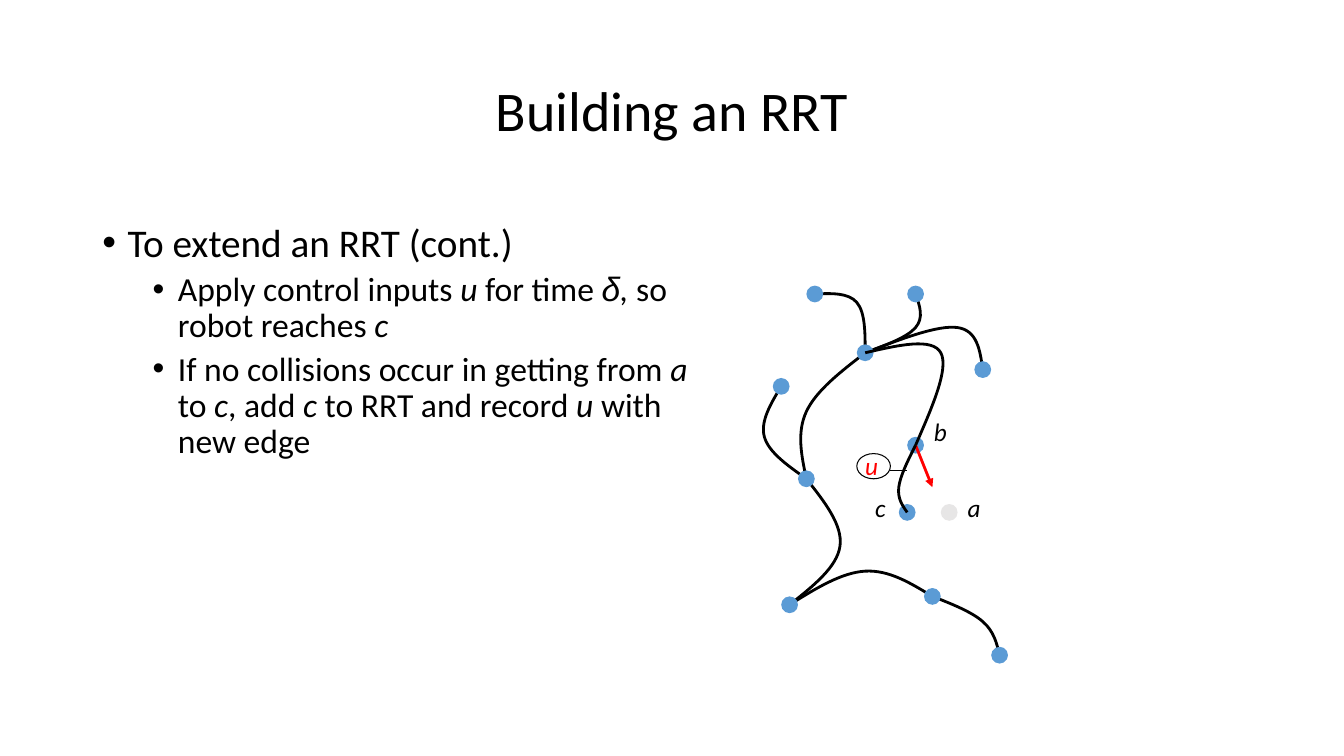
from dataclasses import dataclass

from lxml.etree import SubElement
from pptx import Presentation
from pptx.dml.color import RGBColor
from pptx.enum.shapes import MSO_CONNECTOR as Connector, MSO_SHAPE as Shape
from pptx.enum.text import MSO_ANCHOR as Anchor, PP_ALIGN as Align
from pptx.oxml.ns import qn
from pptx.util import Inches, Pt

BLACK = RGBColor(0x00, 0x00, 0x00)
RED = RGBColor(0xFF, 0x00, 0x00)
BLUE = RGBColor(0x5B, 0x9B, 0xD5)
GREY = RGBColor(0xE7, 0xE6, 0xE6)
FONT = "Calibri"
SYMBOL_FONT = "Arial"

# The grid has twelve cells to the inch
CELLS_PER_INCH = 12
Point = tuple[float, float]


@dataclass
class Node:
    centre: Point
    colour: RGBColor = BLUE


@dataclass
class Edge:
    start: Point
    middle: Point
    end: Point


@dataclass
class Label:
    text: str
    corner: Point
    colour: RGBColor = BLACK


@dataclass
class Bullet:
    text: str  # asterisks enclose italics
    size: int
    indent: float
    space_before: int


ROOT, B, C = (103, 42), (109, 53), (108, 61)
TOP_LEFT, TOP_RIGHT, RIGHT = (97, 35), (109, 35), (117, 44)
LEFT, FORK, LOW_FORK = (93, 46), (96, 57), (94, 72)
LOW_RIGHT, LAST = (111, 71), (119, 78)

TREE_EDGES = [
    Edge(TOP_LEFT, (102, 36), ROOT),
    Edge(TOP_RIGHT, (109, 39), ROOT),
    Edge(ROOT, (96, 49), FORK),
    Edge(LEFT, (91, 52), FORK),
    Edge(ROOT, (114, 39), RIGHT),
    Edge(FORK, (100, 65), LOW_FORK),
    Edge(LOW_FORK, (103, 68), LOW_RIGHT),
    Edge(LOW_RIGHT, (117, 74), LAST),
]
NEW_EDGES = [Edge(ROOT, (112, 42), B), Edge(B, (107, 58), C)]
NODES = [Node(centre) for centre in (
    ROOT, B, TOP_RIGHT, FORK, RIGHT, TOP_LEFT, LEFT, LOW_RIGHT, LOW_FORK, LAST, C)]
NODES.append(Node((113, 61), GREY))
LABELS = [
    Label("a", (114, 58)),
    Label("b", (110, 49)),
    Label("u", (101.8, 53), RED),
    Label("c", (103, 58)),
]
BULLETS = [
    Bullet("To extend an RRT (cont.)", 28, 0.25, 10),
    Bullet("Apply control inputs *u* for time *δ**, *so robot reaches *c*", 24, 0.75, 5),
    Bullet("If no collisions occur in getting from *a* to *c*, add *c* to RRT "
           "and record *u *with new edge", 24, 0.75, 5),
]


def cells(*counts: float) -> list[int]:
    return [Inches(count / CELLS_PER_INCH) for count in counts]


def set_font(font, size: int, colour: RGBColor = BLACK) -> None:
    font.name = FONT
    font.size = Pt(size)
    font.color.rgb = colour


def add_text_box(slide, left: float, top: float, width: float, height: float,
                 wrap: bool = True):
    frame = slide.shapes.add_textbox(*cells(left, top, width, height)).text_frame
    frame.word_wrap = wrap
    return frame


def add_bullet(paragraph, bullet: Bullet) -> None:
    properties = paragraph._p.get_or_add_pPr()
    properties.set("marL", str(Inches(bullet.indent)))
    properties.set("indent", str(-Inches(0.25)))
    SubElement(properties, qn("a:buFont")).set("typeface", SYMBOL_FONT)
    SubElement(properties, qn("a:buChar")).set("char", "•")
    paragraph.line_spacing = 0.9
    paragraph.space_before = Pt(bullet.space_before)
    set_font(paragraph.font, bullet.size)
    for position, text in enumerate(bullet.text.split("*")):
        if text:
            run = paragraph.add_run()
            run.text = text
            run.font.italic = position % 2 == 1
            if text == "δ":
                run.font.name = SYMBOL_FONT


def add_edge(slide, edge: Edge) -> None:
    """Draw a smooth curve of two Bézier pieces that meet in the middle point."""
    def between(first: Point, second: Point) -> Point:
        return (first[0] + second[0]) / 2, (first[1] + second[1]) / 2

    (x, y), start, end = edge.middle, edge.start, edge.end
    slope_x, slope_y = (end[0] - start[0]) / 6, (end[1] - start[1]) / 6
    before, after = (x - slope_x, y - slope_y), (x + slope_x, y + slope_y)
    points = [between(start, before), before, edge.middle, after, between(after, end), end]

    builder = slide.shapes.build_freeform(*cells(*start))
    builder.add_line_segments([tuple(cells(*point)) for point in points], close=False)
    shape = builder.convert_to_shape()
    shape.shadow.inherit = False
    shape.fill.background()
    shape.line.color.rgb = BLACK
    shape.line.width = Pt(2)

    # Join each three line ends into one cubic curve
    outline = shape._element.find(".//" + qn("a:path"))
    segments = outline.findall(qn("a:lnTo"))
    for first in (0, 3):
        curve = SubElement(outline, qn("a:cubicBezTo"))
        for segment in segments[first:first + 3]:
            curve.append(segment[0])
            outline.remove(segment)


def add_ellipse(slide, left: float, top: float, width: float, height: float):
    shape = slide.shapes.add_shape(Shape.OVAL, *cells(left, top, width, height))
    shape.shadow.inherit = False
    return shape


def add_node(slide, node: Node) -> None:
    x, y = node.centre
    dot = add_ellipse(slide, x - 1, y - 1, 2, 2)
    dot.fill.solid()
    dot.fill.fore_color.rgb = node.colour
    dot.line.fill.background()


def add_line(slide, start: Point, end: Point, colour: RGBColor, width: float,
             arrow: bool = False) -> None:
    line = slide.shapes.add_connector(Connector.STRAIGHT, *cells(*start, *end))
    line.line.color.rgb = colour
    line.line.width = Pt(width)
    if arrow:
        SubElement(line.line._get_or_add_ln(), qn("a:tailEnd")).set("type", "triangle")
    SubElement(line._element.spPr, qn("a:effectLst"))


def add_label(slide, label: Label) -> None:
    paragraph = add_text_box(slide, *label.corner, 4, 4.8, wrap=False).paragraphs[0]
    paragraph.text = label.text
    set_font(paragraph.font, 18, label.colour)
    paragraph.font.italic = True


def main() -> None:
    presentation = Presentation()
    presentation.slide_width, presentation.slide_height = cells(160, 90)
    slide = presentation.slides.add_slide(presentation.slide_layouts[6])

    # Title
    frame = add_text_box(slide, 11, 4.8, 138, 17.4)
    frame.vertical_anchor = Anchor.MIDDLE
    title = frame.paragraphs[0]
    title.text = "Building an RRT"
    title.alignment = Align.CENTER
    title.line_spacing = 0.9
    set_font(title.font, 40)

    # Bullets
    frame = add_text_box(slide, 11, 26, 74, 58)
    for position, bullet in enumerate(BULLETS):
        add_bullet(frame.add_paragraph() if position else frame.paragraphs[0], bullet)

    # Tree
    for edge in TREE_EDGES:
        add_edge(slide, edge)
    for node in NODES:
        add_node(slide, node)
    for label in LABELS:
        add_label(slide, label)
    add_line(slide, B, (111, 58), RED, 2, arrow=True)
    for edge in NEW_EDGES:
        add_edge(slide, edge)

    # Ring around the control input
    ring = add_ellipse(slide, 102, 54, 4, 3)
    ring.fill.background()
    ring.line.color.rgb = BLACK
    ring.line.width = Pt(0.75)
    add_line(slide, (106, 56), (108, 56), BLACK, 0.75)

    presentation.save("out.pptx")


if __name__ == "__main__":
    main()
